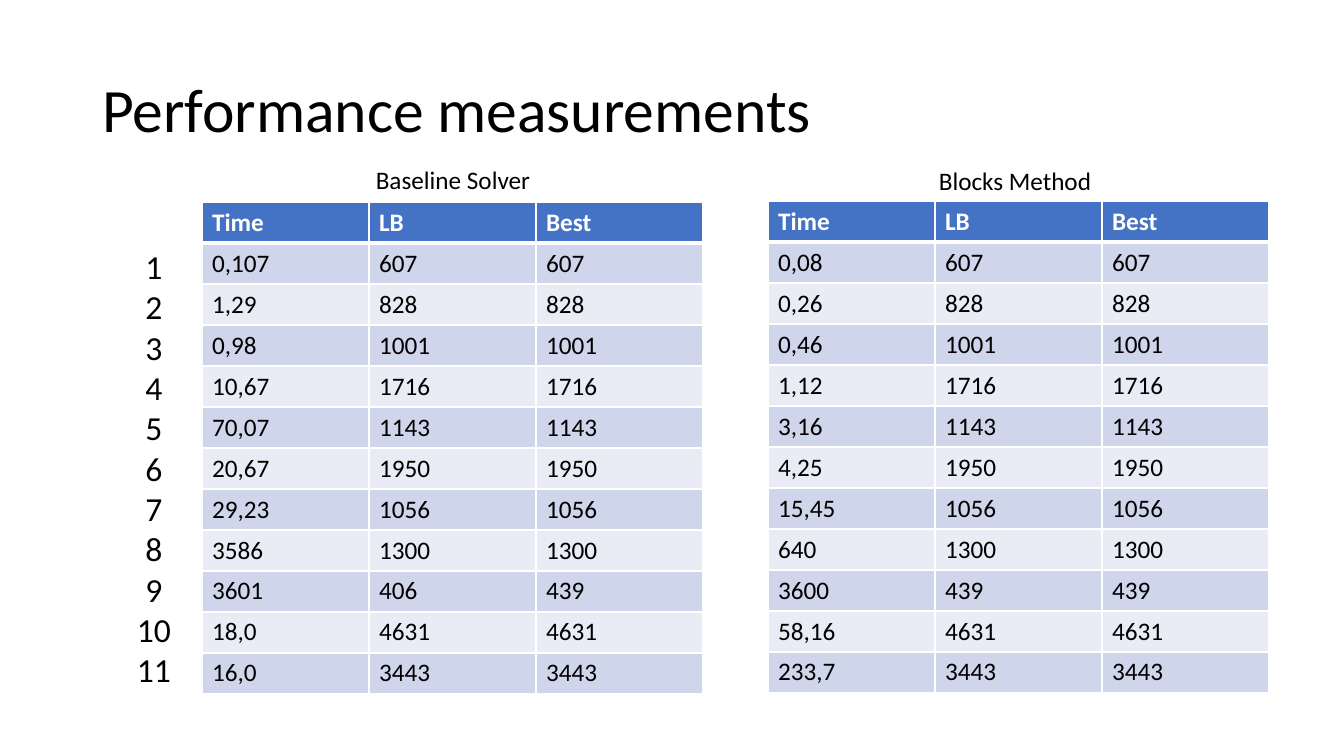
from lxml.etree import SubElement
from pptx import Presentation
from pptx.dml.color import RGBColor
from pptx.enum.text import MSO_ANCHOR, MSO_AUTO_SIZE, PP_ALIGN
from pptx.oxml.ns import qn
from pptx.util import Pt

PX = 914400 / 100.8  # EMU in one px
THEME = {
    "font": "Calibri", "text": "000000", "header_text": "FFFFFF",
    "header": "4472C4", "bands": ("CFD5EA", "E9EBF5"), "border": "FFFFFF",
    "title_size": 44, "body_size": 18, "number_size": 24,
}
COL_W, ROW_H = 167, 41
HEADERS = ("Time", "LB", "Best")
BOUNDS = [(607, 607), (828, 828), (1001, 1001), (1716, 1716), (1143, 1143),
          (1950, 1950), (1056, 1056), (1300, 1300), (439, 439),
          (4631, 4631), (3443, 3443)]
BASELINE_BOUNDS = BOUNDS[:8] + [(406, 439)] + BOUNDS[9:]
BASELINE_TIMES = ("0,107", "1,29", "0,98", "10,67", "70,07", "20,67",
                  "29,23", "3586", "3601", "18,0", "16,0")
BLOCKS_TIMES = ("0,08", "0,26", "0,46", "1,12", "3,16", "4,25",
                "15,45", "640", "3600", "58,16", "233,7")


def px(*lengths):
    return [round(n * PX) for n in lengths]


def write(tf, lines, size, color=THEME["text"], bold=False, align=PP_ALIGN.LEFT):
    for i, line in enumerate(lines):
        p = tf.paragraphs[0] if i == 0 else tf.add_paragraph()
        p.alignment = align
        r = p.add_run()
        r.text = str(line)
        fmt = {"name": THEME["font"], "size": Pt(size), "bold": bold}
        for key, value in fmt.items():
            setattr(r.font, key, value)
        r.font.color.rgb = RGBColor.from_string(color)


prs = Presentation()
prs.slide_width, prs.slide_height = px(1344, 756)
s = prs.slides.add_slide(prs.slide_layouts[5])

# Title
title = s.shapes.title
title.left, title.top, title.width, title.height = px(92, 40, 1159, 146)
tf = title.text_frame
tf.vertical_anchor = MSO_ANCHOR.MIDDLE
tf.auto_size = MSO_AUTO_SIZE.NONE
write(tf, ["Performance measurements"], THEME["title_size"])
tf.paragraphs[0].line_spacing = 0.9

# Result tables
for left, top, times, bounds in (
        (202, 202, BASELINE_TIMES, BASELINE_BOUNDS),
        (768, 201, BLOCKS_TIMES, BOUNDS)):
    rows = [HEADERS] + [(time, *pair) for time, pair in zip(times, bounds)]
    table = s.shapes.add_table(
        len(rows), len(HEADERS),
        *px(left, top, COL_W * len(HEADERS), ROW_H * len(rows))).table
    for col in table.columns:
        col.width = px(COL_W)[0]
    for i, values in enumerate(rows):
        table.rows[i].height = px(ROW_H)[0]
        header = i == 0
        fill = THEME["header"] if header else THEME["bands"][(i - 1) % 2]
        color = THEME["header_text"] if header else THEME["text"]
        # The rule under the header is thicker than the other borders
        widths = {"lnL": 1, "lnR": 1, "lnT": 3 if i == 1 else 1,
                  "lnB": 3 if header else 1}
        for j, value in enumerate(values):
            cell = table.cell(i, j)
            write(cell.text_frame, [value], THEME["body_size"], color, header)
            tcPr = cell._tc.get_or_add_tcPr()
            for tag, width in widths.items():
                ln = SubElement(tcPr, qn(f"a:{tag}"), w=str(Pt(width)))
                solid = SubElement(ln, qn("a:solidFill"))
                SubElement(solid, qn("a:srgbClr"), val=THEME["border"])
            cell.fill.solid()
            cell.fill.fore_color.rgb = RGBColor.from_string(fill)

# Table captions and instance numbers
for box, lines, size in (
        ((344, 159, 218, 40), ["Baseline Solver"], THEME["body_size"]),
        ((906, 160, 218, 40), ["Blocks Method"], THEME["body_size"]),
        ((118, 241, 72, 458), range(1, len(BOUNDS) + 1), THEME["number_size"])):
    tf = s.shapes.add_textbox(*px(*box)).text_frame
    tf.word_wrap = True
    tf.auto_size = MSO_AUTO_SIZE.SHAPE_TO_FIT_TEXT
    write(tf, lines, size, align=PP_ALIGN.CENTER)

prs.save("out.pptx")
